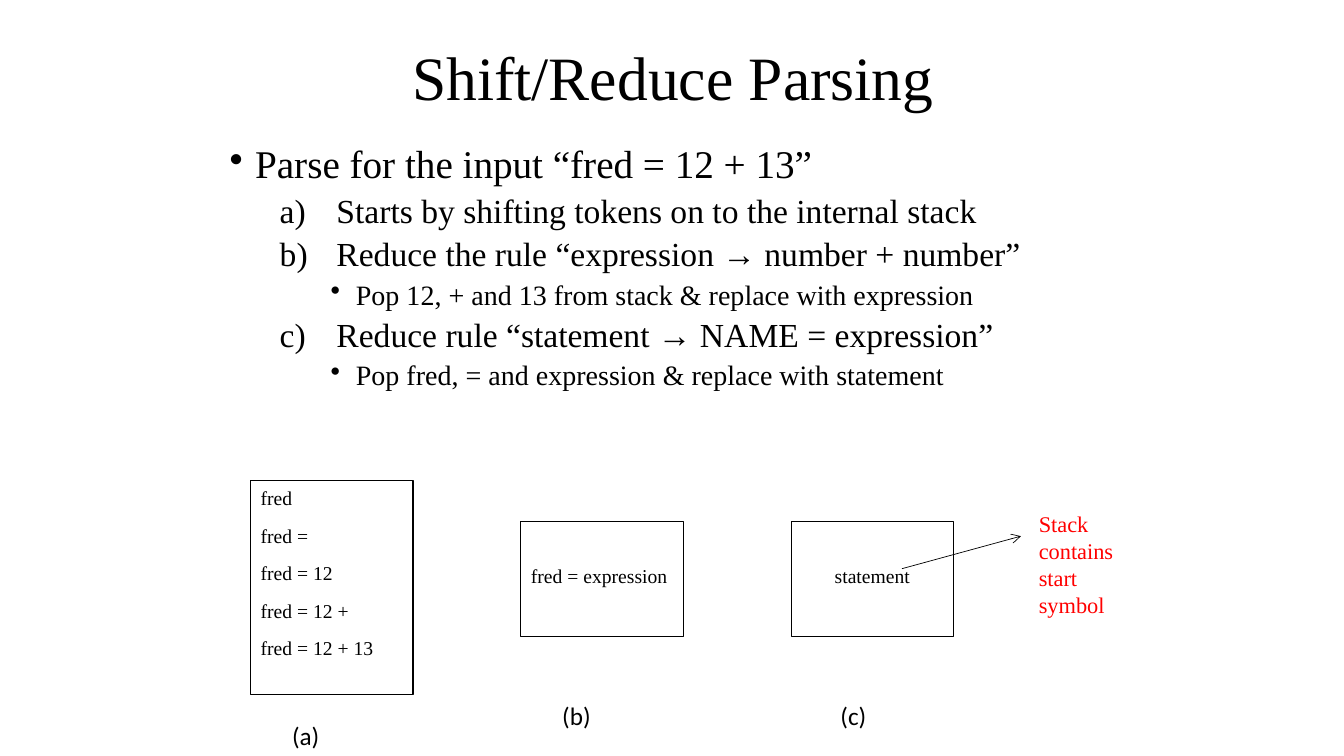
from dataclasses import dataclass

from lxml import etree
from pptx import Presentation
from pptx.dml.color import RGBColor
from pptx.enum.shapes import MSO_CONNECTOR, MSO_SHAPE
from pptx.enum.text import MSO_ANCHOR, PP_ALIGN
from pptx.oxml.ns import qn
from pptx.util import Cm, Pt

LEFT, CENTER = PP_ALIGN.LEFT, PP_ALIGN.CENTER
TOP, MIDDLE = MSO_ANCHOR.TOP, MSO_ANCHOR.MIDDLE
RECTANGLE, STRAIGHT = MSO_SHAPE.RECTANGLE, MSO_CONNECTOR.STRAIGHT


@dataclass(frozen=True)
class Theme:
    serif: str = "Times New Roman"
    sans: str = "Calibri"
    ink: RGBColor = RGBColor(0, 0, 0)
    paper: RGBColor = RGBColor(255, 255, 255)
    accent: RGBColor = RGBColor(255, 0, 0)
    title: int = 44
    steps: tuple = (28, 24, 20)
    label: int = 18
    note: int = 16
    stack: int = 14


@dataclass(frozen=True)
class Box:
    left: float
    top: float
    width: float
    height: float

    def lengths(self):
        return [Cm(value) for value in (self.left, self.top, self.width, self.height)]


THEME = Theme()
NUMBERED = ("buAutoNum", {"type": "alphaLcParenR"})
BULLETED = ("buChar", {"char": "•"})
STEP_LEVELS = (
    (0.64, 0.64, 10, BULLETED),
    (2.69, 1.43, 5, NUMBERED),
    (3.18, 0.64, 5, BULLETED),
)
STEPS = (
    (0, "Parse for the input “fred = 12 + 13”"),
    (1, "Starts by shifting tokens on to the internal stack"),
    (1, "Reduce the rule “expression → number + number”"),
    (2, "Pop 12, + and 13 from stack & replace with expression"),
    (1, "Reduce rule “statement → NAME = expression”"),
    (2, "Pop fred, = and expression & replace with statement"),
)
TOKENS = ("fred", "fred =", "fred = 12", "fred = 12 +", "fred = 12 + 13")
STACK_WIDTH = 4.09
STACK_PITCH = 6.81
STACKS = (
    ("(a)", TOKENS, 12.12, 5.38, TOP, LEFT, 0.21, 0.53),
    ("(b)", ("fred = expression",), 13.13, 2.9, MIDDLE, LEFT, 0.21, 1.5),
    ("(c)", ("statement",), 13.13, 2.9, MIDDLE, CENTER, 0.41, 1.5),
)


def write_lines(shape, lines, size, color=THEME.ink, font=THEME.serif,
                align=LEFT, anchor=TOP, space_after=0):
    frame = shape.text_frame
    frame.word_wrap = True
    frame.vertical_anchor = anchor
    frame.text = "\n".join(lines)
    for paragraph in frame.paragraphs:
        paragraph.alignment = align
        paragraph.space_after = Pt(space_after)
        style_font(paragraph, size, color, font)
    return frame


def style_font(paragraph, size, color, font):
    paragraph.font.size = Pt(size)
    paragraph.font.name = font
    paragraph.font.color.rgb = color


def add_title(slide, box):
    shape = slide.shapes.add_textbox(*box.lengths())
    write_lines(shape, ["Shift/Reduce Parsing"], THEME.title, align=CENTER, anchor=MIDDLE)


def add_steps(slide, box):
    frame = slide.shapes.add_textbox(*box.lengths()).text_frame
    frame.word_wrap = True
    frame.text = "\n".join(text for level, text in STEPS)
    for paragraph, (level, text) in zip(frame.paragraphs, STEPS):
        margin, hanging, space_before, (marker, attributes) = STEP_LEVELS[level]
        paragraph.level = level
        paragraph.line_spacing = 0.9
        paragraph.space_before = Pt(space_before)
        properties = paragraph._p.get_or_add_pPr()
        properties.set("marL", str(Cm(margin)))
        properties.set("indent", str(-Cm(hanging)))
        etree.SubElement(properties, qn(f"a:{marker}"), attributes)
        style_font(paragraph, THEME.steps[level], THEME.ink, THEME.serif)


def add_stack(slide, box, lines, anchor, align):
    shape = slide.shapes.add_shape(RECTANGLE, *box.lengths())
    shape.shadow.inherit = False
    shape.fill.solid()
    shape.fill.fore_color.rgb = THEME.paper
    shape.line.color.rgb = THEME.ink
    shape.line.width = Pt(0.75)
    spacing = 10 if len(lines) > 1 else 0
    frame = write_lines(shape, lines, THEME.stack, align=align, anchor=anchor,
                        space_after=spacing)
    frame.margin_bottom = Cm(0.25)


def add_stack_label(slide, stack_box, label, shift, gap):
    box = Box(stack_box.left + shift, stack_box.top + stack_box.height + gap, 3.61, 1.02)
    shape = slide.shapes.add_textbox(*box.lengths())
    frame = write_lines(shape, [label], THEME.label, font=THEME.sans)
    frame.margin_left = Cm(0.83)


def add_stacks(slide, box):
    for index, (label, lines, top, height, anchor, align, shift, gap) in enumerate(STACKS):
        left = box.left + index * STACK_PITCH
        stack_box = Box(left, box.top + top - STACKS[0][2], STACK_WIDTH, height)
        add_stack(slide, stack_box, lines, anchor, align)
        add_stack_label(slide, stack_box, label, shift, gap)


def add_start_symbol_note(slide, box):
    shape = slide.shapes.add_textbox(*box.lengths())
    write_lines(shape, ["Stack contains start symbol"], THEME.note, color=THEME.accent)
    arrow = slide.shapes.add_connector(
        STRAIGHT, Cm(box.left - 3.2), Cm(box.top + 1.6),
        Cm(box.left - 0.2), Cm(box.top + 0.78))
    arrow.line.color.rgb = THEME.ink
    arrow.line.width = Pt(0.5)
    etree.SubElement(arrow.line._get_or_add_ln(), qn("a:tailEnd"), type="arrow")
    etree.SubElement(arrow._element.spPr, qn("a:effectLst"))


def main():
    presentation = Presentation()
    presentation.slide_width = Cm(33.87)
    presentation.slide_height = Cm(19.05)
    slide = presentation.slides.add_slide(presentation.slide_layouts[6])
    add_steps(slide, Box(5.54, 3.53, 24.1, 15.01))
    add_title(slide, Box(5.54, 0.74, 22.86, 2.36))
    add_stacks(slide, Box(6.32, 12.12, 17.71, 6.93))
    add_start_symbol_note(slide, Box(25.93, 12.73, 3.2, 3))
    presentation.save("out.pptx")


main()
